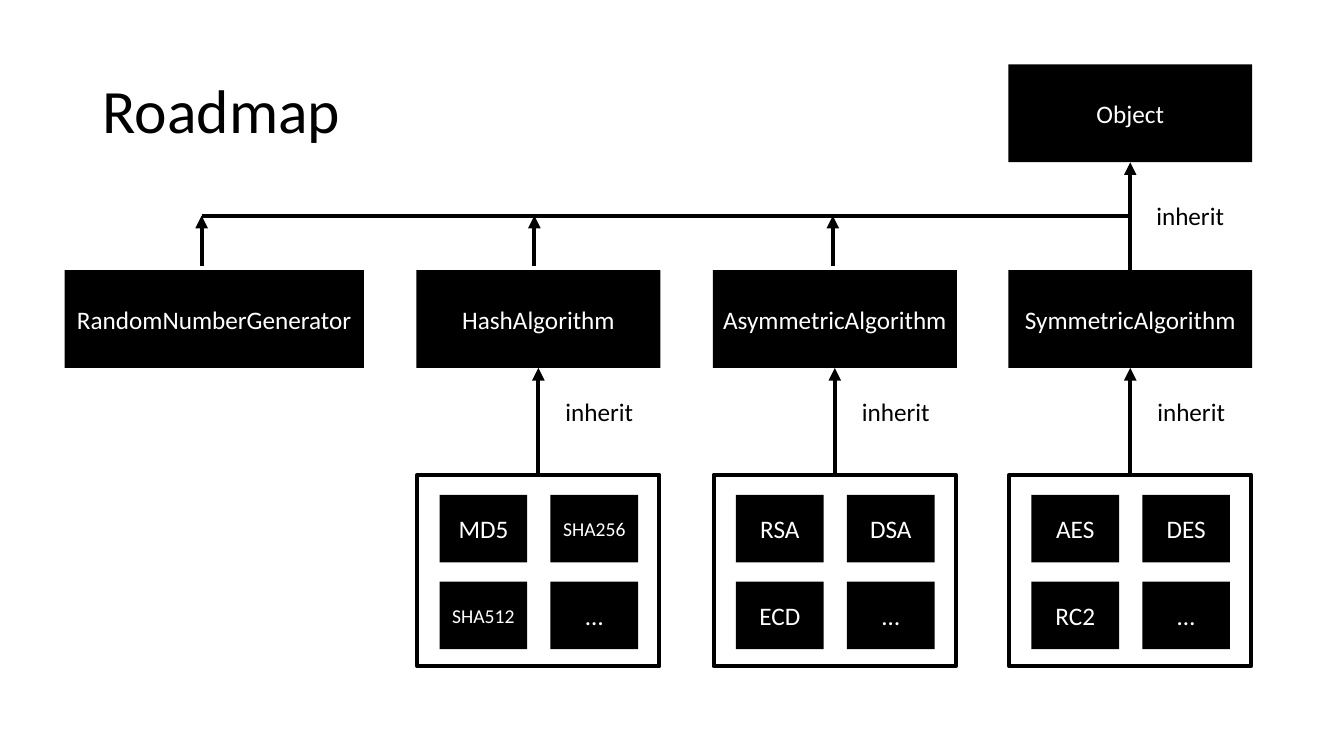
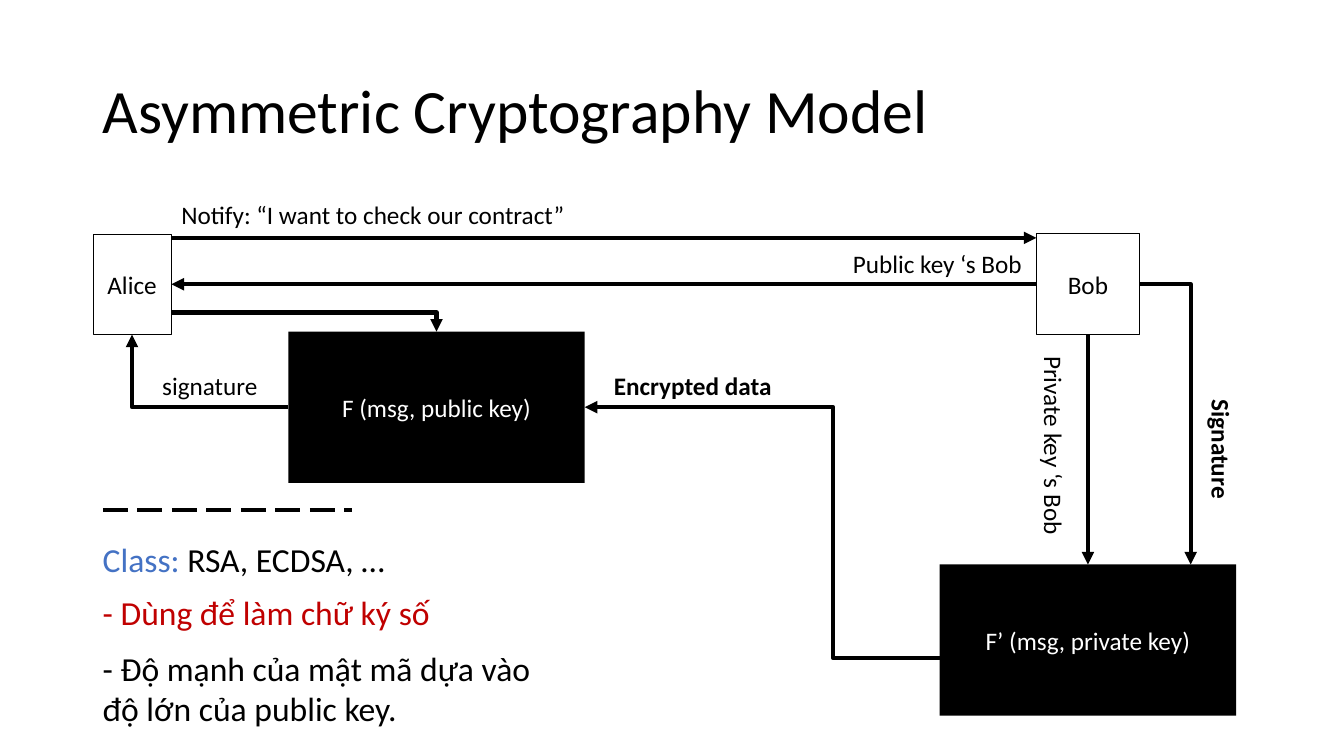
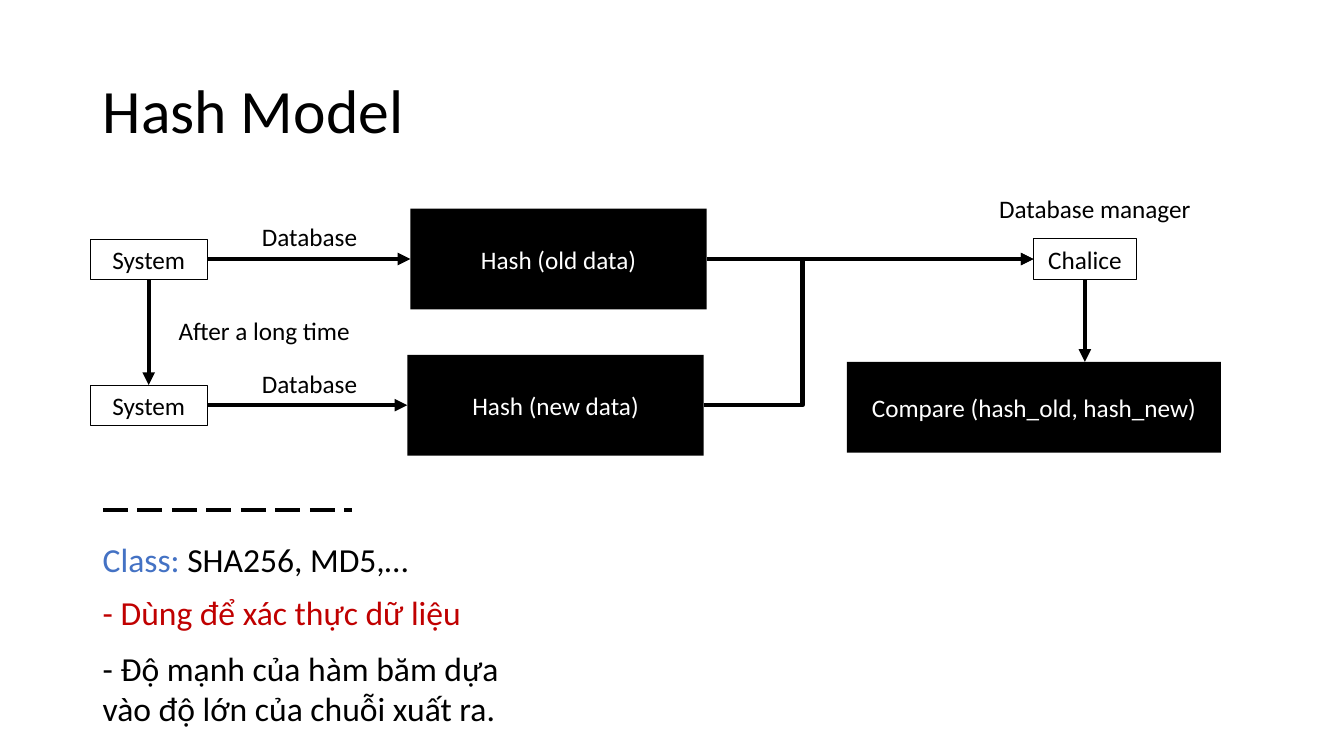
"""Build three cryptography slides: class roadmap, asymmetric model and hash model."""
from dataclasses import dataclass
from typing import NamedTuple, Optional

from lxml.etree import SubElement
from pptx import Presentation
from pptx.dml.color import RGBColor
from pptx.enum.dml import MSO_LINE
from pptx.enum.shapes import MSO_CONNECTOR, MSO_SHAPE
from pptx.enum.text import MSO_ANCHOR, PP_ALIGN
from pptx.oxml.ns import qn
from pptx.shapes.autoshape import Shape
from pptx.shapes.connector import Connector
from pptx.slide import Slide
from pptx.util import Inches, Pt

RECTANGLE = MSO_SHAPE.RECTANGLE
STRAIGHT, ELBOW = MSO_CONNECTOR.STRAIGHT, MSO_CONNECTOR.ELBOW
LEFT_ALIGN, CENTER = PP_ALIGN.LEFT, PP_ALIGN.CENTER
TOP_ANCHOR, MIDDLE = MSO_ANCHOR.TOP, MSO_ANCHOR.MIDDLE
LONG_DASH = MSO_LINE.LONG_DASH
TOP, LEFT, BOTTOM, RIGHT = range(4)


@dataclass(frozen=True)
class Theme:
    """Hold the colours, font and sizes shared by all slides."""

    ink: RGBColor = RGBColor(0, 0, 0)
    paper: RGBColor = RGBColor(255, 255, 255)
    accent: RGBColor = RGBColor(0x44, 0x72, 0xC4)
    alert: RGBColor = RGBColor(0xC0, 0, 0)
    font: str = "Calibri"
    title: float = 44
    note: float = 24
    body: float = 18
    small: float = 14
    stroke: float = 3
    divider: float = 2.25
    thin: float = 0.25
    fine: float = 0.75


THEME = Theme()


class Area(NamedTuple):
    """Give left, top, width and height in inches."""

    x: float
    y: float
    w: float
    h: float


class Run(NamedTuple):
    """Describe one run of text."""

    text: str
    size: float = THEME.body
    color: RGBColor = THEME.ink
    bold: bool = False


class Label(NamedTuple):
    """Describe a caption beside an arrow."""

    text: str
    area: Area
    align: PP_ALIGN = LEFT_ALIGN
    bold: bool = False
    rotation: float = 0


class Branch(NamedTuple):
    """Describe an algorithm family and its implementations."""

    name: str
    x: float
    members: tuple[str, ...]


class Point(NamedTuple):
    """Give a position in inches."""

    x: float
    y: float


def write(shape: Shape, runs: list[Run], align: PP_ALIGN, anchor: MSO_ANCHOR) -> None:
    """Fill a shape with one paragraph of runs."""
    frame = shape.text_frame
    frame.word_wrap = True
    frame.vertical_anchor = anchor
    paragraph = frame.paragraphs[0]
    paragraph.alignment = align
    for part in runs:
        run = paragraph.add_run()
        run.text = part.text
        run.font.name = THEME.font
        run.font.size = Pt(part.size)
        run.font.bold = part.bold
        run.font.color.rgb = part.color


def add_text(slide: Slide, area: Area, runs: list[Run], align: PP_ALIGN = LEFT_ALIGN,
             anchor: MSO_ANCHOR = TOP_ANCHOR) -> Shape:
    """Add a text box."""
    box = slide.shapes.add_textbox(*map(Inches, area))
    write(box, runs, align, anchor)
    return box


def add_labels(slide: Slide, labels: list[Label]) -> None:
    """Add captions, turned where asked."""
    for label in labels:
        caption = add_text(slide, label.area, [Run(label.text, bold=label.bold)], label.align)
        caption.rotation = label.rotation


def add_box(slide: Slide, area: Area, text: str = "", outline: Optional[float] = None,
            size: float = THEME.body) -> Shape:
    """Add a solid rectangle, or an outlined one when a line width is given."""
    box = slide.shapes.add_shape(RECTANGLE, *map(Inches, area))
    box.shadow.inherit = False
    if outline is None:
        box.fill.solid()
        box.fill.fore_color.rgb = THEME.ink
        box.line.fill.background()
    else:
        box.fill.background()
        box.line.color.rgb = THEME.ink
        box.line.width = Pt(outline)
    if text:
        color = THEME.paper if outline is None else THEME.ink
        write(box, [Run(text, size, color)], CENTER, MIDDLE)
        box.text_frame.margin_left = box.text_frame.margin_right = Inches(0.05)
    return box


def add_line(slide: Slide, start: Point, end: Point, arrow: bool = True,
             kind: MSO_CONNECTOR = STRAIGHT, width: float = THEME.stroke,
             dashed: bool = False) -> Connector:
    """Add a connector, with an arrowhead at its end by default."""
    ends = map(Inches, (*start, *end))
    line = slide.shapes.add_connector(kind, *ends)
    line.line.color.rgb = THEME.ink
    line.line.width = Pt(width)
    if dashed:
        line.line.dash_style = LONG_DASH
    properties = line._element.spPr
    if arrow:
        SubElement(properties.find(qn("a:ln")), qn("a:tailEnd"), type="triangle")
    SubElement(properties, qn("a:effectLst"))
    return line


def side(box: Shape, site: int) -> Point:
    """Find the middle of a rectangle's side."""
    x, y, w, h = (v.inches for v in (box.left, box.top, box.width, box.height))
    return {TOP: Point(x + w / 2, y), LEFT: Point(x, y + h / 2),
            BOTTOM: Point(x + w / 2, y + h), RIGHT: Point(x + w, y + h / 2)}[site]


def join(slide: Slide, source: Shape, source_site: int, target: Shape, target_site: int) -> None:
    """Draw an arrow glued to the sides of two rectangles."""
    arrow = add_line(slide, side(source, source_site), side(target, target_site))
    arrow.begin_connect(source, source_site)
    arrow.end_connect(target, target_site)


def add_elbow(slide: Slide, start: Point, end: Point, bend: Optional[float] = None) -> None:
    """Draw an arrow with one corner, or with two at the given share of its width."""
    elbow = add_line(slide, start, end, kind=ELBOW)
    geometry = elbow._element.spPr.find(qn("a:prstGeom"))
    if bend is None:
        geometry.set("prst", "bentConnector2")
    else:
        SubElement(geometry.find(qn("a:avLst")), qn("a:gd"),
                   name="adj1", fmla=f"val {round(bend * 100000)}")


def add_titled_slide(deck: Presentation, title: str) -> Slide:
    """Add a blank slide with the shared title style."""
    slide = deck.slides.add_slide(deck.slide_layouts[6])
    heading = add_text(slide, Area(0.92, 0.4, 8.54, 1.45), [Run(title, THEME.title)],
                       anchor=MIDDLE)
    heading.text_frame.paragraphs[0].line_spacing = 0.9
    return slide


def add_notes_block(slide: Slide, classes: str, usage: str, strength: str) -> None:
    """Add the dashed divider and the remarks below it."""
    add_line(slide, Point(1.02, 5.06), Point(3.49, 5.06), arrow=False,
             width=THEME.divider, dashed=True)
    add_text(slide, Area(0.92, 5.3, 3.84, 0.5),
             [Run("Class:", THEME.note, THEME.accent), Run(classes, THEME.note)])
    add_text(slide, Area(0.92, 5.82, 4.08, 0.5), [Run(usage, THEME.note, THEME.alert)])
    add_text(slide, Area(0.92, 6.38, 4.5, 0.91), [Run(strength, THEME.note)])


def build_roadmap(deck: Presentation) -> None:
    """Draw the class hierarchy."""
    slide = add_titled_slide(deck, "Roadmap")
    width, height, family_y, bus_y = 2.42, 0.97, 2.68, 2.14
    branches = [
        Branch("HashAlgorithm", 4.13, ("MD5", "SHA256", "SHA512", "…")),
        Branch("AsymmetricAlgorithm", 7.07, ("RSA", "DSA", "ECD", "…")),
        Branch("SymmetricAlgorithm", 10, ("AES", "DES", "RC2", "…")),
    ]
    root = add_box(slide, Area(10, 0.64, width, height), "Object")
    add_box(slide, Area(0.64, family_y, 2.97, height), "RandomNumberGenerator")
    for branch in branches:
        family = add_box(slide, Area(branch.x, family_y, width, height), branch.name)
        panel_x = branch.x + 0.01
        panel = add_box(slide, Area(panel_x, 4.71, 2.4, 1.9), outline=THEME.stroke)
        for index, member in enumerate(branch.members):
            row, column = divmod(index, 2)
            cell = Area(panel_x + 0.22 + 1.1 * column, 4.91 + 0.86 * row, 0.87, 0.67)
            add_box(slide, cell, member, size=THEME.small if len(member) > 3 else THEME.body)
        join(slide, panel, TOP, family, BOTTOM)
        add_labels(slide, [Label("inherit", Area(branch.x + 1.38, 3.88, 1, 0.4))])
    join(slide, family, TOP, root, BOTTOM)
    add_labels(slide, [Label("inherit", Area(11.37, 1.94, 1, 0.4))])
    add_line(slide, Point(11.2, bus_y), Point(2, bus_y), arrow=False)
    for stem_x in (2, 5.3, 8.26):
        add_line(slide, Point(stem_x, bus_y + 0.5), Point(stem_x, bus_y))


def build_asymmetric_model(deck: Presentation) -> None:
    """Draw the exchange between Alice and Bob."""
    slide = add_titled_slide(deck, "Asymmetric Cryptography Model")
    decrypt = add_box(slide, Area(9.32, 5.6, 2.94, 1.5), "F’ (msg, private key)")
    encrypt = add_box(slide, Area(2.86, 3.29, 2.94, 1.5), "F (msg, public key)")
    alice = add_box(slide, Area(0.92, 2.32, 0.78, 1), "Alice", THEME.thin)
    bob = add_box(slide, Area(10.28, 2.32, 1.02, 1), "Bob", THEME.fine)
    add_line(slide, Point(1.7, 2.36), Point(10.28, 2.36))
    join(slide, bob, LEFT, alice, RIGHT)
    join(slide, bob, BOTTOM, decrypt, TOP)
    add_elbow(slide, side(encrypt, LEFT), side(alice, BOTTOM))
    add_elbow(slide, Point(1.7, 3.1), side(encrypt, TOP))
    add_elbow(slide, side(bob, RIGHT), Point(11.81, 5.6))
    add_elbow(slide, Point(9.32, 6.53), side(encrypt, RIGHT), 0.3)
    add_labels(slide, [
        Label("Notify: “I want to check our contract”", Area(1.7, 1.93, 6.86, 0.4)),
        Label("Public key ‘s Bob", Area(8.36, 2.41, 1.91, 0.4)),
        Label("signature", Area(1.51, 3.62, 1.22, 0.4)),
        Label("Encrypted data", Area(5.99, 3.62, 2, 0.4), bold=True),
        Label("Private key ‘s Bob", Area(9.43, 4.26, 2.05, 0.4), rotation=90),
        Label("Signature", Area(11.42, 4.36, 1.39, 0.4), bold=True, rotation=90),
    ])
    add_notes_block(slide, " RSA, ECDSA, …", "- Dùng để làm chữ ký số",
                    "- Độ mạnh của mật mã dựa vào độ lớn của public key.")


def build_hash_model(deck: Presentation) -> None:
    """Draw the comparison of old and new hashes."""
    slide = add_titled_slide(deck, "Hash Model")
    system_before = add_box(slide, Area(0.89, 2.37, 1.17, 0.4), "System", THEME.thin)
    system_after = add_box(slide, Area(0.89, 3.82, 1.17, 0.4), "System", THEME.thin)
    old_hash = add_box(slide, Area(4.07, 2.07, 2.94, 1), "Hash (old data)")
    new_hash = add_box(slide, Area(4.04, 3.52, 2.94, 1), "Hash (new data)")
    manager = add_box(slide, Area(10.25, 2.37, 1.02, 0.4), "Chalice", THEME.fine)
    add_box(slide, Area(8.4, 3.59, 3.71, 0.9), "Compare (hash_old, hash_new)")
    join(slide, system_before, RIGHT, old_hash, LEFT)
    join(slide, system_before, BOTTOM, system_after, TOP)
    join(slide, system_after, RIGHT, new_hash, LEFT)
    join(slide, old_hash, RIGHT, manager, LEFT)
    to_compare = add_line(slide, side(manager, BOTTOM), Point(10.76, 3.59))
    to_compare.begin_connect(manager, BOTTOM)
    add_elbow(slide, side(new_hash, RIGHT), side(manager, LEFT), 0.3)
    add_labels(slide, [
        Label("Database", Area(2.07, 2.15, 2, 0.4), CENTER),
        Label("After a long time", Area(1.62, 3.08, 2, 0.4), CENTER),
        Label("Database", Area(2.07, 3.61, 2, 0.4), CENTER),
        Label("Database manager", Area(9.61, 1.87, 2.5, 0.4), CENTER),
    ])
    add_notes_block(slide, " SHA256, MD5,…", "- Dùng để xác thực dữ liệu",
                    "- Độ mạnh của hàm băm dựa vào độ lớn của chuỗi xuất ra.")


def main() -> None:
    """Build and save the deck."""
    deck = Presentation()
    deck.slide_width, deck.slide_height = Inches(13.33), Inches(7.5)
    build_roadmap(deck)
    build_asymmetric_model(deck)
    build_hash_model(deck)
    deck.save("out.pptx")


if __name__ == "__main__":
    main()
